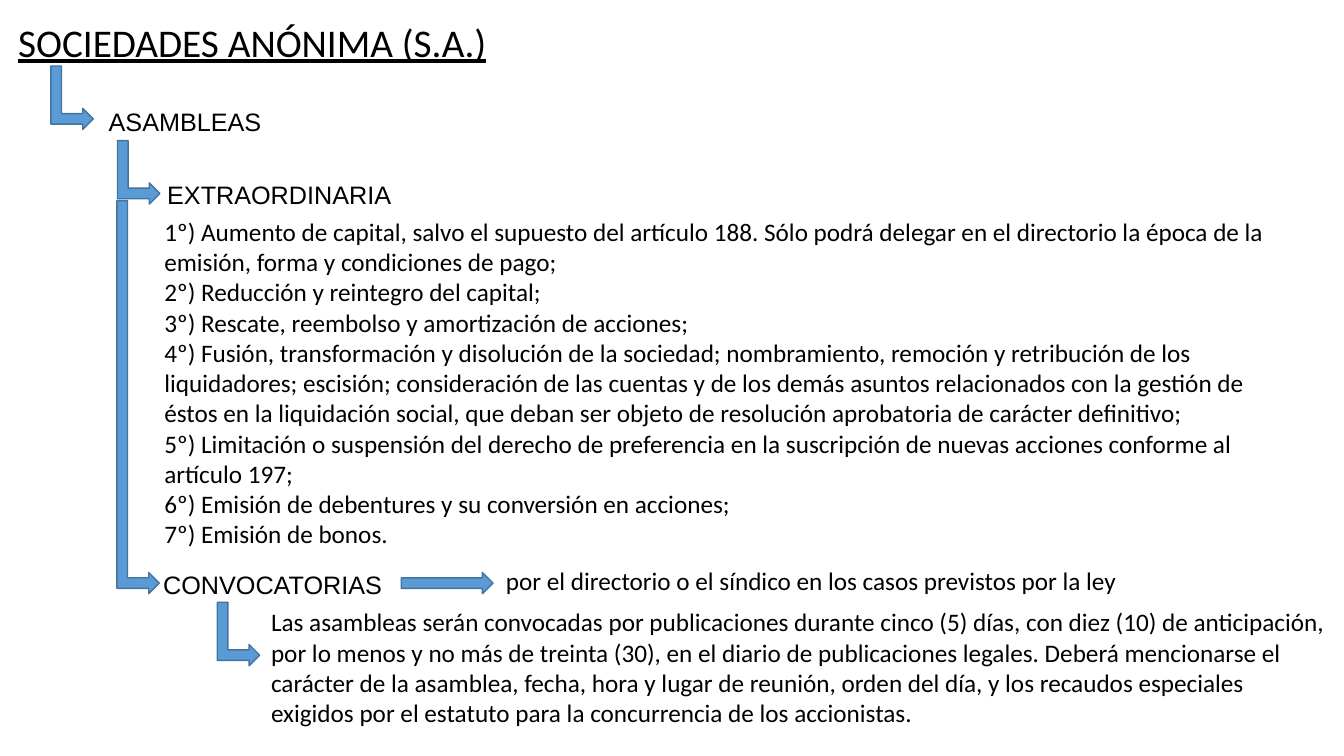
from pptx import Presentation
from pptx.dml.color import RGBColor
from pptx.enum.shapes import MSO_SHAPE as Preset
from pptx.enum.text import MSO_ANCHOR as Anchor, MSO_AUTO_SIZE as AutoSize, PP_ALIGN as Align
from pptx.util import Pt
from lxml import etree

PX = 9144
COLORS = {"text": "000000", "arrow": "5B9BD5", "outline": "43739E"}
DRAWING = "{http://schemas.openxmlformats.org/drawingml/2006/main}"

presentation = Presentation()
presentation.slide_width = 1333 * PX
presentation.slide_height = 750 * PX
slide = presentation.slides.add_slide(presentation.slide_layouts[1])


def write(box, text, shape=None, font="Calibri", size=18, underline=False,
          anchor=Anchor.MIDDLE, spacing=1.0, bullets_off=False):
    left, top, width, height = [value * PX for value in box]
    if shape is None:
        shape = slide.shapes.add_textbox(left, top, width, height)
    shape.left, shape.top, shape.width, shape.height = left, top, width, height
    frame = shape.text_frame
    frame.word_wrap = True
    frame.auto_size = AutoSize.NONE
    frame.vertical_anchor = anchor
    frame.text = text
    for paragraph in frame.paragraphs:
        if bullets_off:
            properties = paragraph._p.get_or_add_pPr()
            properties.set("marL", "0")
            properties.set("indent", "0")
            etree.SubElement(properties, DRAWING + "buNone")
        paragraph.alignment = Align.LEFT
        paragraph.line_spacing = spacing
        paragraph.space_before = Pt(0)
        paragraph.font.name = font
        paragraph.font.size = Pt(size)
        paragraph.font.underline = underline
        paragraph.font.color.rgb = RGBColor.from_string(COLORS["text"])


powers = [
    "1º) Aumento de capital, salvo el supuesto del artículo 188. Sólo podrá delegar en el "
    "directorio la época de la emisión, forma y condiciones de pago;",
    "2º) Reducción y reintegro del capital;",
    "3º) Rescate, reembolso y amortización de acciones;",
    "4º) Fusión, transformación y disolución de la sociedad; nombramiento, remoción y "
    "retribución de los liquidadores; escisión; consideración de las cuentas y de los demás "
    "asuntos relacionados con la gestión de éstos en la liquidación social, que deban ser "
    "objeto de resolución aprobatoria de carácter definitivo;",
    "5º) Limitación o suspensión del derecho de preferencia en la suscripción de nuevas "
    "acciones conforme al artículo 197;",
    "6º) Emisión de debentures y su conversión en acciones;",
    "7º) Emisión de bonos.",
]
notice = (
    "Las asambleas serán convocadas por publicaciones durante cinco (5) días, con diez (10) de "
    "anticipación, por lo menos y no más de treinta (30), en el diario de publicaciones legales. "
    "Deberá mencionarse el carácter de la asamblea, fecha, hora y lugar de reunión, orden del "
    "día, y los recaudos especiales exigidos por el estatuto para la concurrencia de los "
    "accionistas."
)

write((8, 18, 1097, 60), "SOCIEDADES ANÓNIMA (S.A.)", shape=slide.shapes.title,
      size=28, underline=True, anchor=Anchor.TOP, spacing=0.9)
write((153, 208, 1129, 343), "\n".join(powers), shape=slide.placeholders[1], bullets_off=True)

headings = [
    ("ASAMBLEAS", 98, 100, 366),
    ("EXTRAORDINARIA", 156, 173, 498),
    ("CONVOCATORIAS", 152, 560, 498),
]
for heading, left, top, width in headings:
    write((left, top, width, 40), heading, font="Arial")

write((492, 556, 650, 40), "por el directorio o el síndico en los casos previstos por la ley",
      anchor=Anchor.TOP)
write((259, 597, 1067, 131), notice, anchor=Anchor.TOP)

arrows = [
    (Preset.BENT_UP_ARROW, 40, 76, 63, 42, 90),
    (Preset.BENT_UP_ARROW, 106, 150, 63, 42, 90),
    (Preset.BENT_UP_ARROW, -58, 373, 390, 42, 90),
    (Preset.BENT_UP_ARROW, 205, 608, 63, 42, 90),
    (Preset.RIGHT_ARROW, 398, 568, 91, 21, 0),
]
for preset, left, top, width, height, rotation in arrows:
    arrow = slide.shapes.add_shape(preset, left * PX, top * PX, width * PX, height * PX)
    arrow.rotation = rotation
    arrow.shadow.inherit = False
    arrow.fill.solid()
    arrow.fill.fore_color.rgb = RGBColor.from_string(COLORS["arrow"])
    arrow.line.color.rgb = RGBColor.from_string(COLORS["outline"])
    arrow.line.width = Pt(1)

presentation.save("out.pptx")
